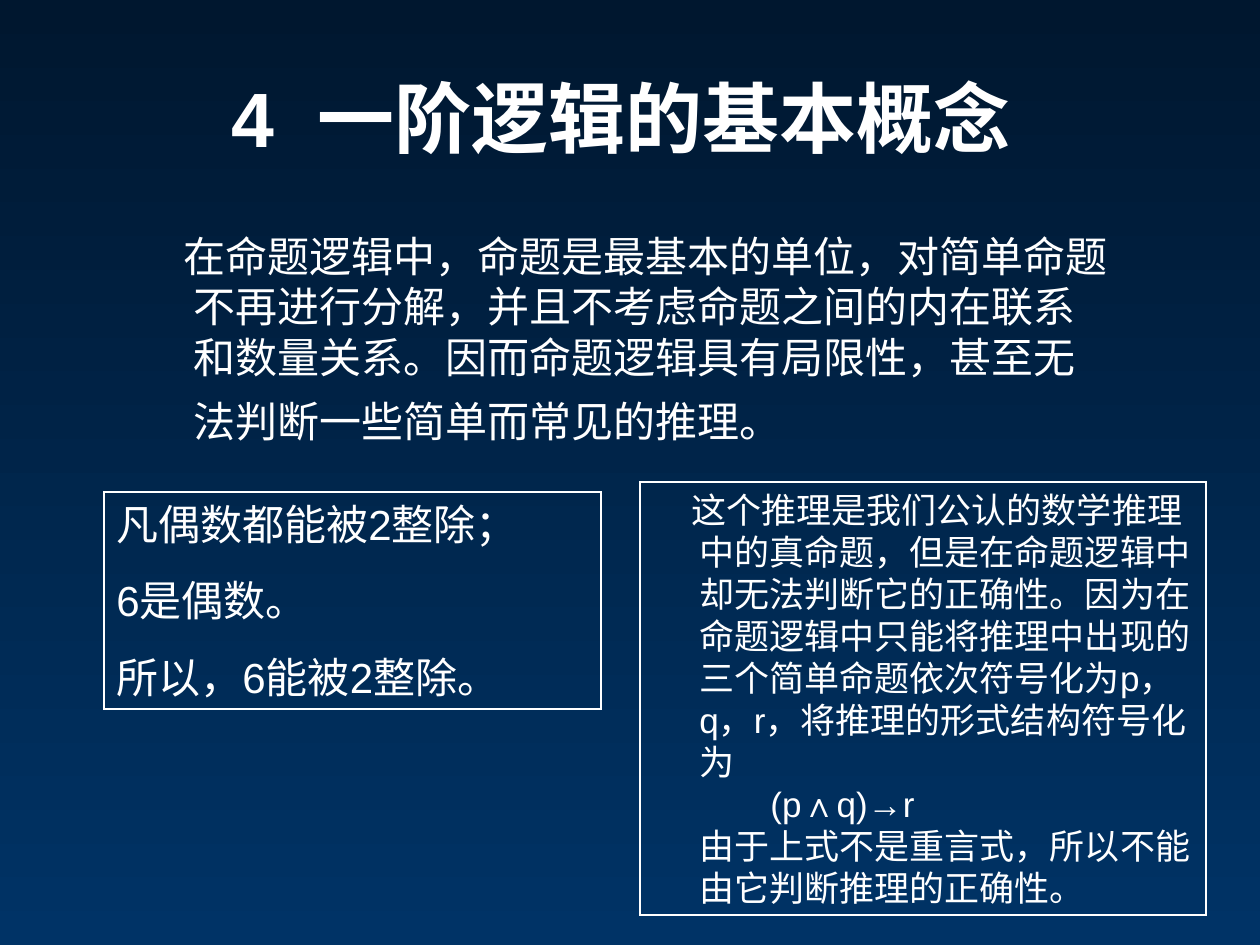
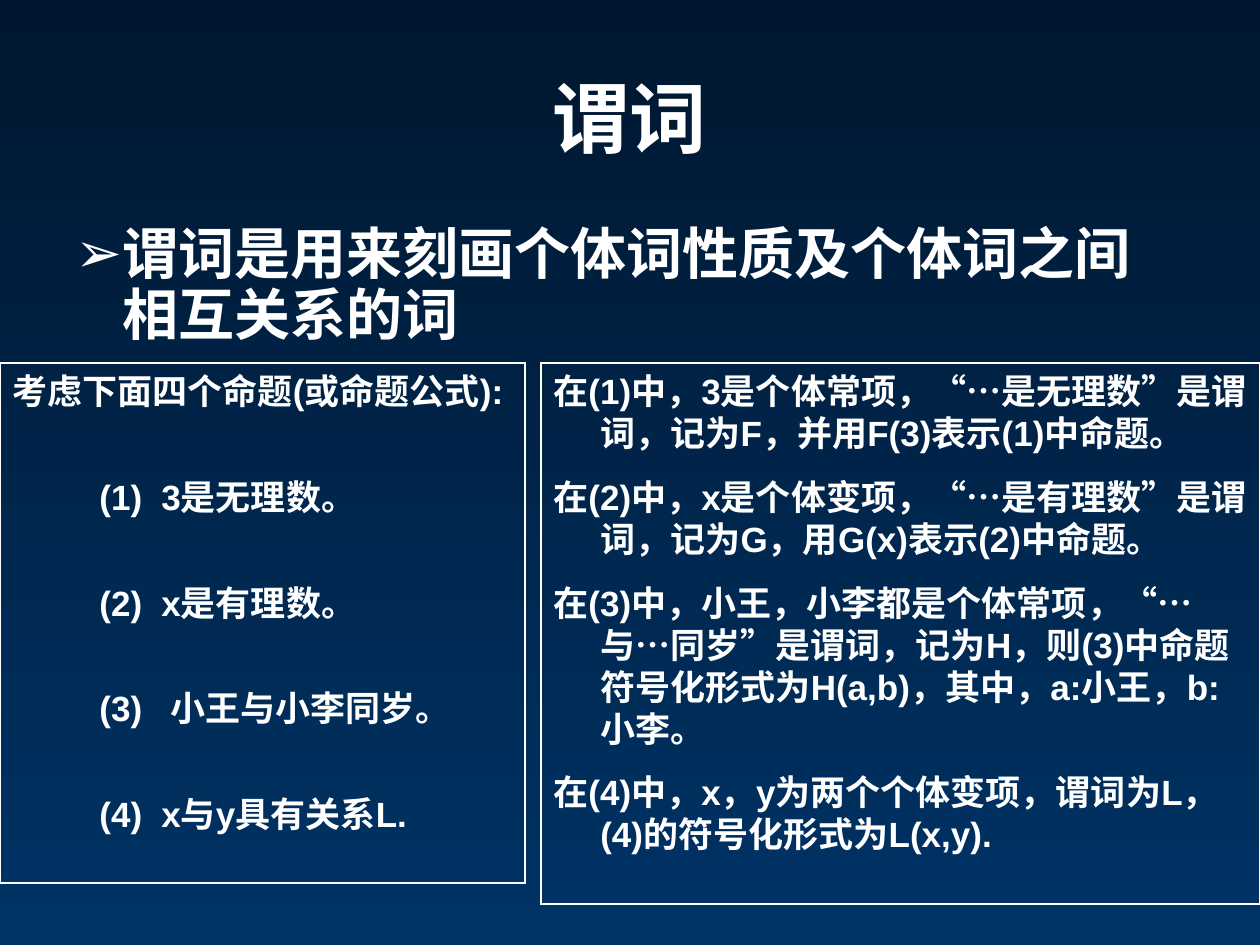
from lxml.etree import SubElement
from pptx import Presentation
from pptx.dml.color import RGBColor
from pptx.enum.shapes import MSO_SHAPE as Preset
from pptx.enum.text import MSO_ANCHOR as Anchor, MSO_AUTO_SIZE as AutoSize, PP_ALIGN as Align
from pptx.oxml.ns import qn
from pptx.util import Pt

PX = 914400 / 126
WHITE = RGBColor(0xFF, 0xFF, 0xFF)
NIGHT = RGBColor(0x00, 0x17, 0x2F)
NAVY = RGBColor(0x00, 0x33, 0x66)
HANG = 47


def add_text(slide, bounds, paragraphs, size, bold=False, outlined=False,
             align=Align.LEFT, anchor=Anchor.TOP):
    left, top, width, height = [round(n * PX) for n in bounds]
    if outlined:
        block = slide.shapes.add_shape(Preset.RECTANGLE, left, top, width, height)
        block.shadow.inherit = False
        block.fill.background()
        block.line.color.rgb = WHITE
        block.line.width = Pt(0.75)
        SubElement(block._element.spPr.find(qn("a:ln")), qn("a:miter"), lim="800000")
    else:
        block = slide.shapes.add_textbox(left, top, width, height)
    frame = block.text_frame
    frame.word_wrap = True
    frame.auto_size = AutoSize.SHAPE_TO_FIT_TEXT if outlined else AutoSize.NONE
    frame.vertical_anchor = anchor
    for number, (text, margin, indent, before) in enumerate(paragraphs):
        paragraph = frame.add_paragraph() if number else frame.paragraphs[0]
        paragraph.text = text
        paragraph.alignment = align
        paragraph.space_before = Pt(before)
        font = paragraph.font
        font.name, font.size, font.bold = "Arial", Pt(size), bold
        font.color.rgb = WHITE
        properties = paragraph._p.get_or_add_pPr()
        properties.set("marL", str(round(margin * PX)))
        properties.set("indent", str(round(indent * PX)))
        properties.set("hangingPunct", "0")
    return frame.paragraphs


def add_titled_slide(title):
    slide = deck.slides.add_slide(deck.slide_layouts[6])
    fill = slide.background.fill
    fill.gradient()
    fill.gradient_angle = 270
    for stop, color, position in zip(fill.gradient_stops, (NIGHT, NAVY), (0, 1)):
        stop.color.rgb = color
        stop.position = position
    add_text(slide, (63, 38, 1134, 158), [(title, 0, 0, 0)], 44, bold=True,
             align=Align.CENTER, anchor=Anchor.MIDDLE)
    return slide


deck = Presentation()
deck.slide_width = round(1260 * PX)
deck.slide_height = round(945 * PX)

concepts = add_titled_slide("4  一阶逻辑的基本概念 ")
limits = add_text(concepts, (134, 224, 992, 232), [(
    "在命题逻辑中，命题是最基本的单位，对简单命题不再进行分解，并且不考虑命题之间的内在联系"
    "和数量关系。因而命题逻辑具有局限性，甚至无法判断一些简单而常见的推理。",
    HANG, -10, 20)], 24)
closing_space = limits[0].add_run()
closing_space.text = " "
closing_space.font.size = Pt(32)

inference = ["凡偶数都能被2整除；", "6是偶数。", "所以，6能被2整除。"]
add_text(concepts, (104, 492, 497, 217),
         [(line, HANG, -HANG, 15) for line in inference], 24, outlined=True)

add_text(concepts, (640, 482, 566, 433), [
    ("这个推理是我们公认的数学推理中的真命题，但是在命题逻辑中却无法判断它的正确性。"
     "因为在命题逻辑中只能将推理中出现的三个简单命题依次符号化为p，q，r，"
     "将推理的形式结构符号化为", HANG, -8, 12.5),
    ("(p∧q)→r", 118, 0, 0),
    ("由于上式不是重言式，所以不能由它判断推理的正确性。", HANG, 0, 0),
], 20, outlined=True)

predicates = add_titled_slide("谓词")
definition = add_text(predicates, (63, 220, 1134, 142), [
    ("谓词是用来刻画个体词性质及个体词之间相互关系的词", HANG, -HANG, 8)], 32, bold=True)[0]
definition.line_spacing = 0.9
properties = definition._p.get_or_add_pPr()
bullet_font = SubElement(properties, qn("a:buFont"), typeface="Arial")
bullet = SubElement(properties, qn("a:buChar"), char="➢")
for part in (bullet_font, bullet):
    properties.find(qn("a:defRPr")).addprevious(part)

propositions = [("3是无理数。", 62), ("x是有理数。", 62),
                ("小王与小李同岁。", 71), ("x与y具有关系L.", 62)]
add_text(predicates, (0, 363, 525, 520),
         [("考虑下面四个命题(或命题公式):", HANG, -HANG, 12.5)]
         + [(f"({number})\t{line}", 87 + gap, -gap, 36.5)
            for number, (line, gap) in enumerate(propositions, 1)],
         20, bold=True, outlined=True)

readings = [
    "3是个体常项，“…是无理数”是谓词，记为F，并用F(3)表示(1)中命题。",
    "x是个体变项，“…是有理数”是谓词，记为G，用G(x)表示(2)中命题。",
    "小王，小李都是个体常项，“…与…同岁”是谓词，记为H，则(3)中命题符号化形式为H(a,b)，"
    "其中，a:小王，b:小李。",
    "x，y为两个个体变项，谓词为L，(4)的符号化形式为L(x,y).",
]
add_text(predicates, (541, 363, 719, 541),
         [(f"在({number})中，{line}", HANG, -HANG, 12.5)
          for number, line in enumerate(readings, 1)],
         20, bold=True, outlined=True)

deck.save("out.pptx")
